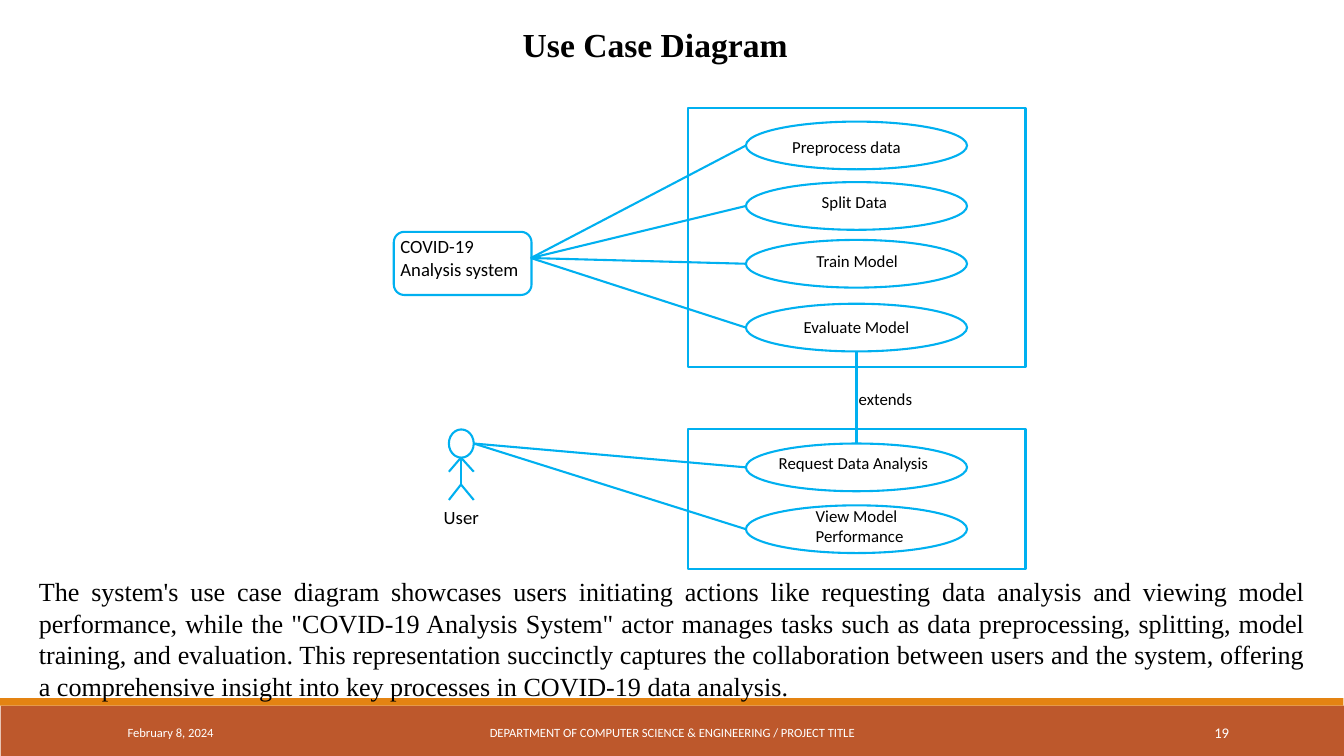
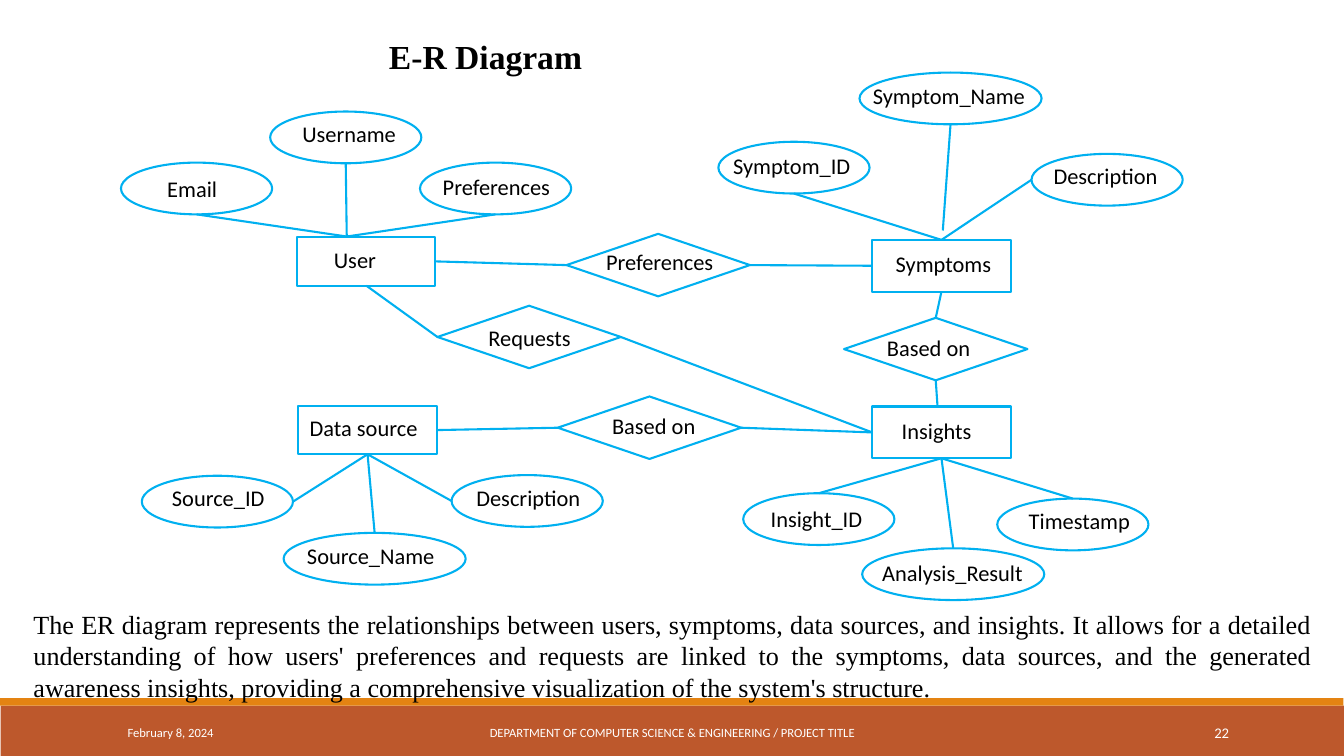
from lxml import etree
from pptx import Presentation
from pptx.dml.color import RGBColor
from pptx.enum.shapes import MSO_CONNECTOR as Wire, MSO_SHAPE as Form
from pptx.enum.text import MSO_ANCHOR as Anchor, PP_ALIGN as Align
from pptx.oxml.ns import qn
from pptx.util import Inches, Pt

COLORS = {"line": "00B0F0", "band": "BD582C", "strip": "E48312",
          "white": "FFFFFF", "text": "000000"}
SANS, SERIF = "Calibri", "Times New Roman"
TOP, LEFT, BOTTOM, RIGHT = range(4)

DATE = "February 8, 2024"
DEPT = "DEPARTMENT OF COMPUTER SCIENCE & ENGINEERING / PROJECT TITLE"

# kind: form, width, height, fill
KINDS = {
    "system": (Form.ROUNDED_RECTANGLE, 2.05, 0.94, None),
    "head": (Form.OVAL, 0.37, 0.42, None),
    "tall frame": (Form.RECTANGLE, 5.02, 3.85, None),
    "low frame": (Form.RECTANGLE, 5.02, 2.08, None),
    "case": (Form.OVAL, 3.29, 0.71, None),
    "entity": (Form.RECTANGLE, 2.06, 0.77, "white"),
    "low entity": (Form.RECTANGLE, 2.06, 0.72, "white"),
    "field": (Form.OVAL, 2.25, 0.77, None),
    "long field": (Form.OVAL, 2.71, 0.77, None),
    "relation": (Form.DIAMOND, 2.73, 0.93, None),
}

# nodes: key -> kind, left, top
# labels: text, left, top, width
# links: each end is a (key, side) pair or a point
CASE_X = 11.1
HUB, NECK, HIP = (7.9, 3.84), (6.86, 6.81), (6.86, 7.21)
USE_CASE = {
    "page": "19",
    "title": ("Use Case Diagram", 7.68, 0.3, 10),
    "size": 18,
    "nodes": {
        "system": ("system", 5.86, 3.45),
        "head": ("head", 6.68, 6.39),
        "model": ("tall frame", 10.24, 1.61),
        "requests": ("low frame", 10.24, 6.39),
        "prep": ("case", CASE_X, 1.81),
        "split": ("case", CASE_X, 2.71),
        "train": ("case", CASE_X, 3.57),
        "test": ("case", CASE_X, 4.52),
        "ask": ("case", CASE_X, 6.6),
        "view": ("case", CASE_X, 7.52),
    },
    "links": [
        (NECK, HIP), (NECK, (7.05, 7.02)), (NECK, (6.68, 7.02)),
        (HIP, (7.05, 7.44)), (HIP, (6.68, 7.44)),
        *[(HUB, (key, LEFT)) for key in ("prep", "split", "train", "test")],
        *[(("head", RIGHT), (key, LEFT)) for key in ("ask", "view")],
        (("test", BOTTOM), ("ask", TOP)),
    ],
    "labels": [
        ("Preprocess data", 11.69, 1.98, 2.11),
        ("Split Data", 12.13, 2.81, 1.92),
        ("Train Model", 12.05, 3.68, 2.11),
        ("Evaluate Model", 11.86, 4.67, 2.32),
        ("extends", 12.68, 5.74, 1.14),
        ("Request Data Analysis", 11.49, 6.69, 2.53),
        ("View Model Performance", 12.04, 7.48, 2.14),
    ],
    "body": ("The system's use case diagram showcases users initiating actions "
             "like requesting data analysis and viewing model performance, while "
             "the \"COVID-19 Analysis System\" actor manages tasks such as data "
             "preprocessing, splitting, model training, and evaluation. This "
             "representation succinctly captures the collaboration between users "
             "and the system, offering a comprehensive insight into key processes "
             "in COVID-19 data analysis.", 0.48, 8.52, 19.03),
}

USER_TOP = (5.16, 3.52)
ENTITY = {
    "page": "22",
    "title": ("E-R Diagram", 5.69, 0.49, 3.2),
    "size": 24,
    "nodes": {
        "user": ("low entity", 4.42, 3.53),
        "source": ("low entity", 4.44, 6.04),
        "symptoms": ("entity", 12.98, 3.57),
        "insights": ("entity", 12.98, 6.05),
        "email": ("field", 1.8, 2.42),
        "username": ("field", 4.02, 1.66),
        "choice": ("field", 6.25, 2.42),
        "symptom id": ("field", 10.69, 2.11),
        "symptom name": ("long field", 12.79, 1.08),
        "symptom text": ("field", 15.35, 2.29),
        "source id": ("field", 2.11, 7.08),
        "source name": ("long field", 4.22, 7.93),
        "source text": ("field", 6.72, 7.07),
        "insight id": ("field", 11.06, 7.34),
        "result": ("long field", 12.83, 8.16),
        "time": ("field", 14.84, 7.42),
        "prefers": ("relation", 8.43, 3.48),
        "asks": ("relation", 6.51, 4.55),
        "uses": ("relation", 8.3, 5.9),
        "based": ("relation", 12.56, 4.73),
    },
    "links": [
        (("email", BOTTOM), USER_TOP),
        (("username", BOTTOM), USER_TOP),
        (("choice", BOTTOM), USER_TOP),
        (("symptom id", BOTTOM), ("symptoms", TOP)),
        (("symptom name", BOTTOM), (14.03, 3.43)),
        (("symptom text", LEFT), ("symptoms", TOP)),
        (("source id", RIGHT), ("source", BOTTOM)),
        (("source name", TOP), ("source", BOTTOM)),
        (("source text", LEFT), ("source", BOTTOM)),
        (("insight id", TOP), ("insights", BOTTOM)),
        (("result", TOP), ("insights", BOTTOM)),
        (("time", TOP), ("insights", BOTTOM)),
        (("user", RIGHT), ("prefers", LEFT)),
        (("prefers", RIGHT), ("symptoms", LEFT)),
        (("user", BOTTOM), ("asks", LEFT)),
        (("asks", RIGHT), ("insights", LEFT)),
        (("source", RIGHT), ("uses", LEFT)),
        (("uses", RIGHT), ("insights", LEFT)),
        (("symptoms", BOTTOM), ("based", TOP)),
        (("based", BOTTOM), (13.95, 6.03)),
    ],
    "labels": [
        ("User", 4.87, 3.61, 1.68),
        ("Data source", 4.51, 6.11, 1.89),
        ("Symptoms", 13.23, 3.68, 1.73),
        ("Insights", 13.32, 6.16, 1.89),
        ("Email", 2.39, 2.56, 1.58),
        ("Username", 4.4, 1.74, 1.68),
        ("Preferences", 6.49, 2.53, 1.94),
        ("Symptom_ID", 10.81, 2.21, 2.04),
        ("Symptom_Name", 12.89, 1.17, 2.71),
        ("Description", 15.58, 2.36, 2.23),
        ("Source_ID", 2.46, 7.15, 1.91),
        ("Source_Name", 4.47, 8.02, 2.5),
        ("Description", 6.99, 7.15, 1.82),
        ("Insight_ID", 11.37, 7.47, 1.73),
        ("Analysis_Result", 13.03, 8.27, 2.6),
        ("Timestamp", 15.21, 7.49, 1.88),
        ("Preferences", 8.92, 3.64, 1.93),
        ("Requests", 7.17, 4.78, 1.86),
        ("Based on", 9.01, 6.08, 1.55),
        ("Based on", 13.1, 4.93, 1.86),
    ],
    "body": ("The ER diagram represents the relationships between users, symptoms, "
             "data sources, and insights. It allows for a detailed understanding "
             "of how users' preferences and requests are linked to the symptoms, "
             "data sources, and the generated awareness insights, providing a "
             "comprehensive visualization of the system's structure.",
             0.4, 9, 19.21),
}


def paint(name):
    return RGBColor.from_string(COLORS[name])


def add_text(slide, text, x, y, w, h, size, font=SANS, color="text",
             align=Align.LEFT, anchor=Anchor.TOP, bold=False):
    frame = slide.shapes.add_textbox(*map(Inches, (x, y, w, h))).text_frame
    frame.word_wrap = True
    frame.vertical_anchor = anchor
    para = frame.paragraphs[0]
    para.text = text
    para.alignment = align
    para.font.name, para.font.size, para.font.bold = font, Pt(size), bold
    para.font.color.rgb = paint(color)


def add_form(slide, form, x, y, w, h, fill=None, line=None):
    shape = slide.shapes.add_shape(form, *map(Inches, (x, y, w, h)))
    shape.shadow.inherit = False
    if fill:
        shape.fill.solid()
        shape.fill.fore_color.rgb = paint(fill)
    else:
        shape.fill.background()
    if line:
        shape.line.color.rgb = paint(line)
        shape.line.width = Pt(2.25)
    else:
        shape.line.fill.background()
    return shape


def side_point(shape, side):
    """Return the middle of one side of a shape."""
    across, down = [(1, 0), (0, 1), (1, 2), (2, 1)][side]
    return (shape.left + shape.width * across // 2,
            shape.top + shape.height * down // 2)


def add_link(slide, shapes, start, end):
    """Join two ends, gluing those on shapes that have four sites."""
    ends = [side_point(shapes[a], b) if a in shapes else (Inches(a), Inches(b))
            for a, b in (start, end)]
    wire = slide.shapes.add_connector(Wire.STRAIGHT, *ends[0], *ends[1])
    for (key, side), glue in ((start, wire.begin_connect), (end, wire.end_connect)):
        if key in shapes and shapes[key].auto_shape_type != Form.OVAL:
            glue(shapes[key], side)
    wire.line.color.rgb = paint("line")
    wire.line.width = Pt(2.25)
    etree.SubElement(wire._element.spPr, qn("a:effectLst"))


def add_base(slide, page):
    add_form(slide, Form.RECTANGLE, 0.01, 10.5, 19.99, 0.75, "band")
    add_form(slide, Form.RECTANGLE, 0, 10.39, 19.99, 0.11, "strip")
    for text, x, w, size, align in ((DATE, 1.8, 4.06, 13.5, Align.LEFT),
                                    (DEPT, 6.05, 7.91, 13.5, Align.CENTER),
                                    (page, 16.24, 2.15, 15.8, Align.RIGHT)):
        add_text(slide, text, x, 10.6, w, 0.6, size, color="white",
                 align=align, anchor=Anchor.MIDDLE)


def add_page(deck, data):
    slide = deck.slides.add_slide(deck.slide_layouts[6])
    add_base(slide, data["page"])
    add_text(slide, *data["title"], 0.71, 36, SERIF, bold=True)
    shapes = {}
    for key, (kind, x, y) in data["nodes"].items():
        form, w, h, fill = KINDS[kind]
        shapes[key] = add_form(slide, form, x, y, w, h, fill, "line")
    for start, end in data["links"]:
        add_link(slide, shapes, start, end)
    size = data["size"]
    for label in data["labels"]:
        add_text(slide, *label, 0.4 if size == 18 else 0.5, size)
    text, x, y, w = data["body"]
    add_text(slide, text, x, y, w, 10.51 - y, 28, SERIF, align=Align.JUSTIFY)
    return slide


def main():
    deck = Presentation()
    deck.slide_width, deck.slide_height = Inches(20), Inches(11.25)
    slide = add_page(deck, USE_CASE)
    add_text(slide, "COVID-19 Analysis system", 5.86, 3.45, 2.05, 0.77, 20)
    add_text(slide, "User", 5.75, 7.48, 2.23, 0.44, 20, align=Align.CENTER)
    add_page(deck, ENTITY)
    deck.save("out.pptx")


if __name__ == "__main__":
    main()
